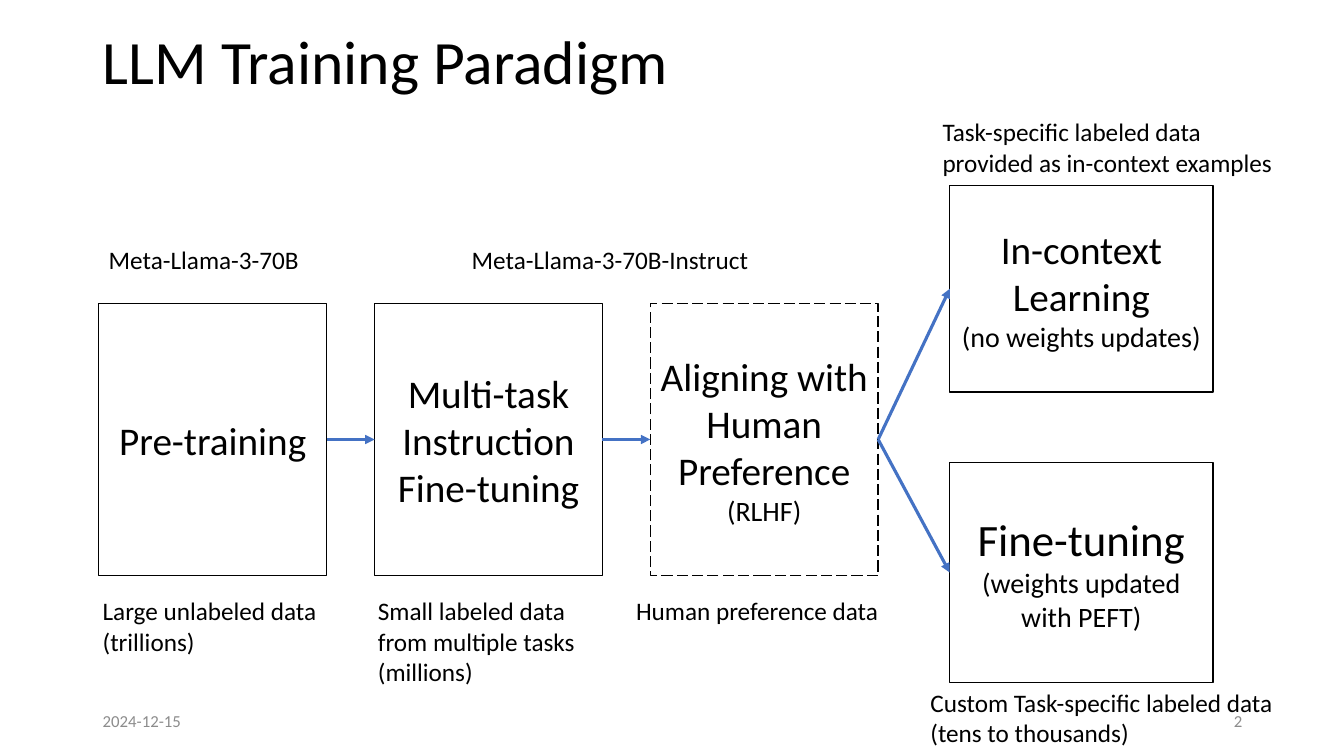
from pptx import Presentation
from pptx import util as u
from pptx.dml.color import RGBColor
from pptx.enum import dml, shapes, text
from pptx.oxml.ns import qn
from lxml import etree

FONT = "Calibri"
BLACK, BLUE, GRAY = "000000", "4472C4", "8C8C8C"
LEFT, MID, RIGHT = text.PP_ALIGN.LEFT, text.PP_ALIGN.CENTER, text.PP_ALIGN.RIGHT


def rgb(code):
    return RGBColor.from_string(code)


def place(shape, x, y, w, h):
    shape.left, shape.top = u.Inches(x), u.Inches(y)
    shape.width, shape.height = u.Inches(w), u.Inches(h)


def write(shape, paras, color=BLACK, align=LEFT, anchor=text.MSO_ANCHOR.MIDDLE):
    """Fill a shape; each paragraph is a list of (words, size) runs."""
    frame = shape.text_frame
    frame.word_wrap = True
    frame.auto_size = text.MSO_AUTO_SIZE.NONE
    frame.vertical_anchor = anchor
    for i, runs in enumerate(paras):
        para = frame.add_paragraph() if i else frame.paragraphs[0]
        para.alignment = align
        for words, size in runs:
            run = para.add_run()
            run.text = words
            run.font.name = FONT
            run.font.size = u.Pt(size)
            run.font.color.rgb = rgb(color)


def head(slide, words):
    title = slide.shapes.title
    place(title, 0.92, 0.15, 11.5, 0.99)
    write(title, [[(words, 44)]])
    title.text_frame.paragraphs[0].line_spacing = 0.9


def label(slide, x, y, w, *lines):
    box = slide.shapes.add_textbox(
        u.Inches(x), u.Inches(y), u.Inches(w), u.Inches(0.1 + 0.3 * len(lines)))
    write(box, [[(line, 18)] for line in lines], anchor=text.MSO_ANCHOR.TOP)


def foot(slide, x, words, align):
    box = slide.shapes.add_textbox(
        u.Inches(x), u.Inches(6.95), u.Inches(3), u.Inches(0.4))
    write(box, [[(words, 12)]], GRAY, align)


def stage(slide, x, y, w, h, *paras, dash=False):
    box = slide.shapes.add_shape(
        shapes.MSO_SHAPE.RECTANGLE,
        u.Inches(x), u.Inches(y), u.Inches(w), u.Inches(h))
    box.shadow.inherit = False
    box.fill.background()
    box.line.color.rgb = rgb(BLACK)
    box.line.width = u.Pt(1)
    if dash:
        box.line.dash_style = dml.MSO_LINE.LONG_DASH
    write(box, paras, align=MID)
    return box


def arrow(slide, start, end):
    """Join the right side of one box to the left side of the next."""
    line = slide.shapes.add_connector(shapes.MSO_CONNECTOR.STRAIGHT, 0, 0, 0, 0)
    line.begin_connect(start, 3)
    line.end_connect(end, 1)
    line.line.color.rgb = rgb(BLUE)
    line.line.width = u.Pt(2.25)
    etree.SubElement(line.line._get_or_add_ln(), qn("a:tailEnd"), type="triangle")
    etree.SubElement(line._element.spPr, qn("a:effectLst"))


def main():
    deck = Presentation()
    deck.slide_width, deck.slide_height = u.Inches(13.33), u.Inches(7.5)
    slide = deck.slides.add_slide(deck.slide_layouts[5])

    # Title, date and page number
    head(slide, "LLM Training Paradigm")
    foot(slide, 0.92, "2024-12-15", LEFT)
    foot(slide, 9.42, "2", RIGHT)

    # Three training stages, evenly spaced
    steps = [
        [[("Pre-training", 28)]],
        [[("Multi-task Instruction Fine-tuning", 28)]],
        [[("Aligning with Human Preference", 28)], [("(RLHF)", 20)]],
    ]
    pre, multi, align = [
        stage(slide, 0.98 + 2.735 * i, 3.01, 2.26, 2.7, *paras, dash=i == 2)
        for i, paras in enumerate(steps)]

    # Two ways to adapt the model
    learn = stage(slide, 9.42, 1.84, 2.61, 2.05,
                  [("In-context Learning", 28)], [("(no weights updates)", 20)])
    tune = stage(slide, 9.42, 4.59, 2.61, 2.18,
                 [("Fine-tuning ", 32), ("(weights updated with PEFT)", 20)])

    # Flow
    for start, end in [(pre, multi), (multi, align), (align, learn), (align, tune)]:
        arrow(slide, start, end)

    # Model names above the stages
    label(slide, 0.98, 2.37, 2.67, "Meta-Llama-3-70B")
    label(slide, 4.58, 2.37, 6.67, "Meta-Llama-3-70B-Instruct")

    # Data used at each stage
    label(slide, 0.92, 5.86, 2.56, "Large unlabeled data", "(trillions)")
    label(slide, 3.65, 5.86, 2.56,
          "Small labeled data from multiple tasks", "(millions)")
    label(slide, 6.21, 5.86, 2.91, "Human preference data")
    label(slide, 9.13, 6.77, 3.66,
          "Custom Task-specific labeled data", "(tens to thousands)")
    label(slide, 9.25, 1.11, 3.7,
          "Task-specific labeled data provided as in-context examples")

    deck.save("out.pptx")


if __name__ == "__main__":
    main()
